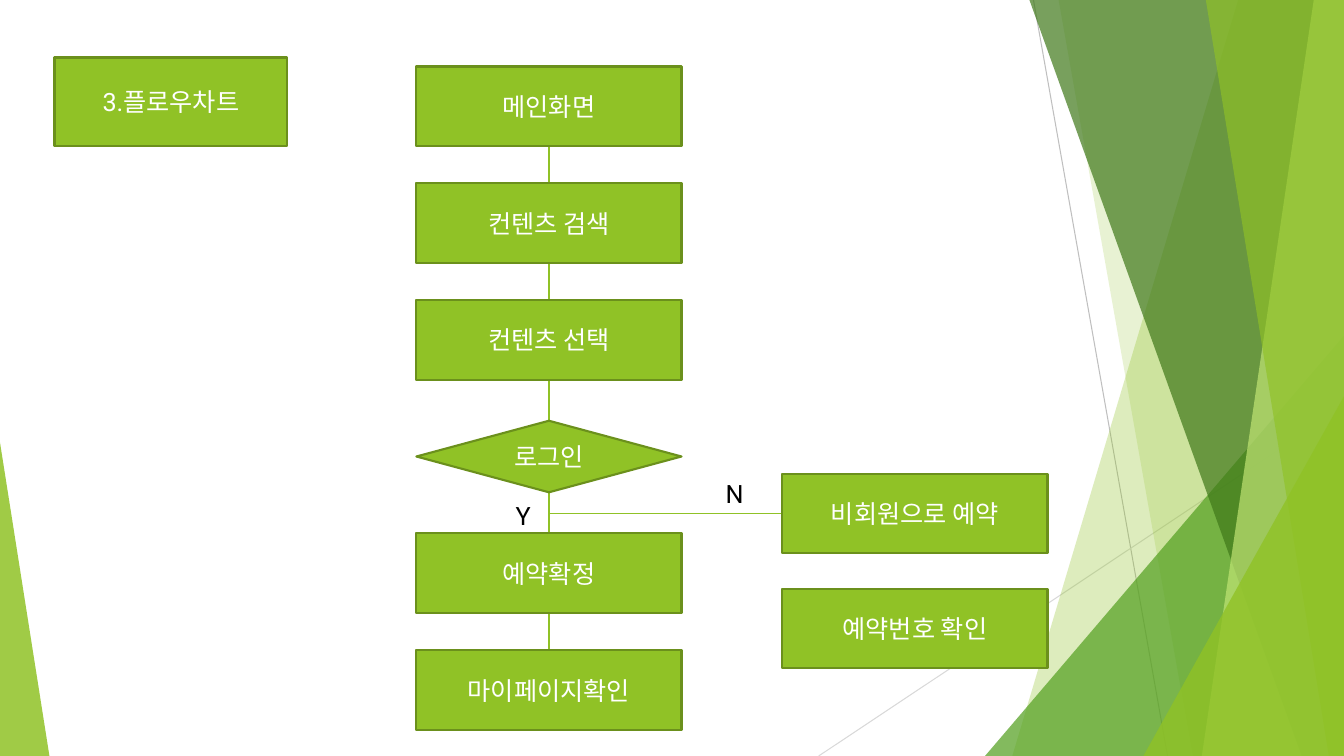
from dataclasses import dataclass
from typing import NamedTuple

from lxml.etree import SubElement
from pptx import Presentation
from pptx.dml.color import RGBColor
from pptx.enum.shapes import MSO_CONNECTOR as Connector, MSO_SHAPE as Preset
from pptx.enum.text import MSO_ANCHOR as Anchor, PP_ALIGN as Align
from pptx.oxml.ns import qn
from pptx.util import Inches, Pt


@dataclass(frozen=True)
class Theme:
    """Colours, font and sizes of the slide."""
    lime: str = "90C226"
    olive: str = "6B901C"
    green: str = "54A021"
    forest: str = "3F7819"
    pale: str = "C0E474"
    grey: str = "BFBFBF"
    light_grey: str = "D9D9D9"
    white: str = "FFFFFF"
    black: str = "000000"
    font: str = "Roboto"
    size: float = 18
    border: float = 1.5
    link: float = 1
    hairline: float = 0.75


class Box(NamedTuple):
    """A rectangle in inches."""
    left: float
    top: float
    width: float
    height: float

    def inches(self):
        return [Inches(value) for value in self]


THEME = Theme()
PAGE = Box(0, 0, 13.33, 7.5)
STEP_WIDTH, STEP_HEIGHT = 2.63, 0.79


def add_line(page, start, end, color, width):
    """Draw a straight line without a shadow."""
    line = page.shapes.add_connector(
        Connector.STRAIGHT, *(Inches(value) for value in (*start, *end)))
    line.line.color.rgb = RGBColor.from_string(color)
    line.line.width = Pt(width)
    SubElement(line._element.spPr, qn("a:effectLst"))


def paint_glass(shape, color, opacity):
    """Fill a shape with a see-through colour and no outline."""
    shape.shadow.inherit = False
    shape.line.fill.background()
    shape.fill.solid()
    shape.fill.fore_color.rgb = RGBColor.from_string(color)
    tint = shape.fill._xPr.find(qn("a:solidFill"))[0]
    SubElement(tint, qn("a:alpha"), val=str(opacity * 1000))


def add_panel(page, box, top_left, top_right, bottom_left, color, opacity):
    """Add a slanted panel that runs down the right edge of the box."""
    right, bottom = box.left + box.width, box.top + box.height
    corners = [(top_left, box.top), (right, box.top), (right, bottom), (bottom_left, bottom)]
    if top_right is not None:
        corners[1] = (top_right, box.top)
    points = [(Inches(x), Inches(y)) for x, y in corners]
    outline = page.shapes.build_freeform(*points[0], scale=1.0)
    outline.add_line_segments(points[1:], close=True)
    paint_glass(outline.convert_to_shape(), color, opacity)


def add_wedge(page, box, apex, color, opacity):
    """Add a triangle whose apex lies at a share of its width."""
    wedge = page.shapes.add_shape(Preset.ISOSCELES_TRIANGLE, *box.inches())
    wedge.adjustments[0] = apex
    paint_glass(wedge, color, opacity)


def add_backdrop(page, box):
    """Place the layered green facets and hairlines along the box edges."""
    left, top = box.left, box.top
    right, bottom = left + box.width, top + box.height
    add_line(page, (left + 10.25, top), (left + 11.58, bottom), THEME.grey, THEME.hairline)
    add_line(page, (right, top + 4.03), (left + 8.12, bottom), THEME.light_grey, THEME.hairline)

    def panel(top_left, bottom_left, color, opacity):
        add_panel(page, box, left + top_left, None, left + bottom_left, color, opacity)

    def wedge(start, width, height, apex, color, opacity):
        add_wedge(page, Box(left + start, bottom - height, width, height), apex, color, opacity)

    panel(12.28, 10.04, THEME.lime, 30)
    panel(10.5, 11.83, THEME.lime, 20)
    wedge(9.77, 3.56, 4.17, 1, THEME.green, 72)
    panel(10.21, 12.91, THEME.forest, 70)
    panel(13.03, 11.92, THEME.pale, 70)
    panel(11.96, 13.18, THEME.lime, 65)
    wedge(11.34, 1.99, 3.57, 1, THEME.lime, 80)
    wedge(0, 0.49, 3.11, 0, THEME.lime, 85)


def write(frame, text, color):
    """Write one centred line in the slide font."""
    para = frame.paragraphs[0]
    para.text = text
    para.alignment = Align.CENTER
    para.font.name = THEME.font
    para.font.size = Pt(THEME.size)
    para.font.color.rgb = RGBColor.from_string(color)


def add_node(page, box, text, preset=Preset.RECTANGLE):
    """Add a green outlined node with white text."""
    node = page.shapes.add_shape(preset, *box.inches())
    node.shadow.inherit = False
    node.fill.solid()
    node.fill.fore_color.rgb = RGBColor.from_string(THEME.lime)
    node.line.color.rgb = RGBColor.from_string(THEME.olive)
    node.line.width = Pt(THEME.border)
    node.text_frame.vertical_anchor = Anchor.MIDDLE
    write(node.text_frame, text, THEME.white)


def add_label(page, box, text):
    """Add a branch label in black."""
    label = page.shapes.add_textbox(*box.inches())
    label.text_frame.word_wrap = False
    write(label.text_frame, text, THEME.black)


def add_main_flow(page, box):
    """Stack the booking steps evenly in the box along one line."""
    steps = ["메인화면", "컨텐츠 검색", "컨텐츠 선택", "로그인", "예약확정", "마이페이지확인"]
    decision, decision_height = "로그인", 0.71
    pitch = (box.height - STEP_HEIGHT) / (len(steps) - 1)
    center = box.left + box.width / 2
    add_line(page, (center, box.top + STEP_HEIGHT),
             (center, box.top + box.height - STEP_HEIGHT), THEME.lime, THEME.link)
    for row, step in enumerate(steps):
        top = box.top + row * pitch
        if step == decision:
            inset = (STEP_HEIGHT - decision_height) / 2
            add_node(page, Box(box.left, top + inset, box.width, decision_height),
                     step, Preset.FLOWCHART_DECISION)
        else:
            add_node(page, Box(box.left, top, box.width, STEP_HEIGHT), step)
    add_label(page, Box(center - 0.43, box.top + 4.25, 0.35, 0.4), "Y")


def add_guest_flow(page, box, branch_x):
    """Stack the guest steps in the box and link the first to the main line."""
    steps = ["비회원으로 예약", "예약번호 확인"]
    pitch = (box.height - STEP_HEIGHT) / (len(steps) - 1)
    link_y = box.top + STEP_HEIGHT / 2
    add_line(page, (branch_x, link_y), (box.left, link_y), THEME.lime, THEME.link)
    add_label(page, Box(box.left - 0.66, link_y - 0.4, 0.36, 0.4), "N")
    for row, step in enumerate(steps):
        add_node(page, Box(box.left, box.top + row * pitch, box.width, STEP_HEIGHT), step)


def build_flowchart_slide(deck, box):
    """Build the flowchart slide within the given box."""
    page = deck.slides.add_slide(deck.slide_layouts[6])
    add_backdrop(page, box)
    add_node(page, Box(box.left + 0.54, box.top + 0.57, 2.31, 0.88), "3.플로우차트")
    main = Box(box.left + 4.13, box.top + 0.66, STEP_WIDTH, 6.58)
    guest = Box(box.left + 7.76, box.top + 4.7, STEP_WIDTH, 1.93)
    add_main_flow(page, main)
    add_guest_flow(page, guest, main.left + main.width / 2)


deck = Presentation()
deck.slide_width, deck.slide_height = Inches(PAGE.width), Inches(PAGE.height)
build_flowchart_slide(deck, PAGE)
deck.save("out.pptx")
